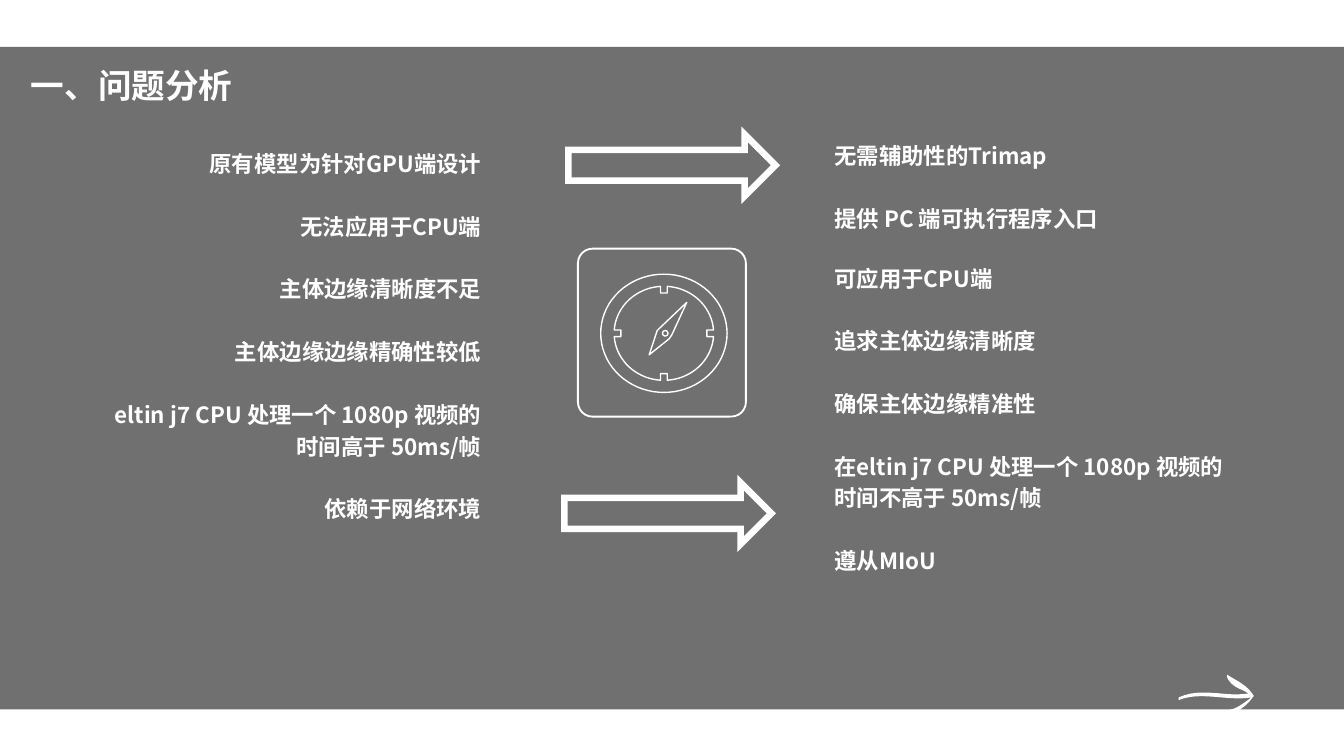
from dataclasses import dataclass
from math import asin, cos, pi, sin

from lxml.etree import SubElement
from pptx import Presentation
from pptx.dml.color import RGBColor
from pptx.enum.shapes import MSO_SHAPE
from pptx.enum.text import MSO_ANCHOR, PP_ALIGN
from pptx.oxml.ns import qn
from pptx.util import Inches, Pt


@dataclass(frozen=True)
class Theme:
    band: RGBColor = RGBColor(0x70, 0x70, 0x70)
    ink: RGBColor = RGBColor(0xFF, 0xFF, 0xFF)
    heading_font: str = "Calibri"
    body_font: str = "Noto Sans CJK SC"
    heading_size: float = 18
    body_size: float = 12
    line_pitch: float = 17
    item_gap: float = 16.6


THEME = Theme()

PROBLEMS = [
    ["原有模型为针对GPU端设计"],
    ["无法应用于CPU端"],
    ["主体边缘清晰度不足"],
    ["主体边缘边缘精确性较低"],
    ["eltin j7 CPU 处理一个 1080p 视频的", "时间高于 50ms/帧"],
    ["依赖于网络环境"],
]
GOALS = [
    ((6.11, 1, 2.17, 0.37), [["无需辅助性的Trimap"]]),
    ((6.11, 1.47, 2.75, 0.37), [["提供 PC 端可执行程序入口"]]),
    ((6.11, 1.92, 2.17, 0.37), [["可应用于CPU端"]]),
    ((6.11, 2.38, 3.45, 1.56), [
        ["追求主体边缘清晰度"],
        ["确保主体边缘精准性"],
        ["在eltin j7 CPU 处理一个 1080p 视频的", "时间不高于 50ms/帧"],
        ["遵从MIoU"],
    ]),
]

# Outline of the hand-drawn arrow: one point is a line, three are a curve.
SKETCH_START = (9.32, 5.19)
SKETCH_STEPS = [
    [(9.28, 5.25), (9.2, 5.31), (9.15, 5.3)],
    [(9.15, 5.28)],
    [(9.19, 5.28), (9.26, 5.23), (9.31, 5.19)],
    [(9.13, 5.22), (8.94, 5.14), (8.77, 5.21)],
    [(8.77, 5.19)],
    [(8.94, 5.11), (9.12, 5.19), (9.29, 5.16)],
    [(9.23, 5.12), (9.17, 5.12), (9.13, 5.04)],
    [(9.13, 5.02)],
    [(9.19, 5.06), (9.25, 5.08), (9.31, 5.15)],
    [(9.33, 5.18)],
]


def box(*lengths):
    return [Inches(length) for length in lengths]


def style_run(run, size, latin):
    run.font.size = Pt(size)
    run.font.bold = True
    run.font.name = latin
    run.font.color.rgb = THEME.ink
    east_asian = SubElement(run.font._element, qn("a:ea"))
    east_asian.set("typeface", THEME.body_font)


def outline(shape, width, mitred=False):
    shape.shadow.inherit = False
    shape.fill.background()
    shape.line.color.rgb = THEME.ink
    shape.line.width = Pt(width)
    if mitred:
        join = SubElement(shape.element.spPr.find(qn("a:ln")), qn("a:miter"))
        join.set("lim", "800000")


def add_heading(slide, text):
    heading = slide.shapes.title
    heading.left, heading.top, heading.width, heading.height = box(0.13, 0.43, 1.72, 0.4)
    frame = heading.text_frame
    frame.text = text
    frame.word_wrap = False
    frame.vertical_anchor = MSO_ANCHOR.MIDDLE
    frame.paragraphs[0].alignment = PP_ALIGN.LEFT
    style_run(frame.paragraphs[0].runs[0], THEME.heading_size, THEME.heading_font)


def add_band(slide):
    """Draw the grey backdrop behind the heading."""
    band = slide.shapes.add_shape(MSO_SHAPE.RECTANGLE, *box(0, 0.35, 10, 4.93))
    band.shadow.inherit = False
    band.fill.solid()
    band.fill.fore_color.rgb = THEME.band
    band.line.fill.background()
    slide.shapes.title.element.addprevious(band.element)


def add_items(slide, place, items, alignment=PP_ALIGN.LEFT):
    """Write each item as one or more lines, with a gap between items."""
    frame = slide.shapes.add_textbox(*box(*place)).text_frame
    frame.word_wrap = True
    frame.margin_top = Inches(0.02)
    frame.text = "\n".join(line for item in items for line in item)
    opens_item = [number == 0 for item in items for number in range(len(item))]
    for index, paragraph in enumerate(frame.paragraphs):
        paragraph.alignment = alignment
        paragraph.line_spacing = Pt(THEME.line_pitch)
        gap = THEME.item_gap if index and opens_item[index] else 0
        paragraph.space_before = Pt(gap)
        style_run(paragraph.runs[0], THEME.body_size, THEME.body_font)


def add_outline_arrow(slide, left, top):
    arrow = slide.shapes.add_shape(MSO_SHAPE.RIGHT_ARROW, *box(left, top, 1.54, 0.46))
    outline(arrow, 3.5, mitred=True)


def add_contours(shapes, *contours):
    """Build one freeform from closed contours given in inches."""
    start, *rest = [box(*point) for point in contours[0]]
    builder = shapes.build_freeform(*start)
    builder.add_line_segments(rest, close=True)
    for contour in contours[1:]:
        start, *rest = [box(*point) for point in contour]
        builder.move_to(*start)
        builder.add_line_segments(rest, close=True)
    return builder.convert_to_shape()


def ellipse(center, rx, ry, start=0, end=2 * pi, steps=72):
    angles = [start + (end - start) * i / steps for i in range(steps + 1)]
    return [(center[0] + rx * cos(a), center[1] + ry * sin(a)) for a in angles]


def notched_ellipse(center, rx, ry, notch=0.05):
    """An ellipse with a square tick pointing inwards on each axis."""
    x, y = center
    half = notch / 2
    points = []
    for quarter in range(4):
        angle = quarter * pi / 2
        dx, dy = round(cos(angle)), round(sin(angle))
        reach = (rx if dx else ry) - notch
        points += [(x + dx * reach + side * dy * half, y + dy * reach - side * dx * half)
                   for side in (1, -1)]
        leave = asin(half / (ry if dx else rx))
        arrive = asin(half / (rx if dx else ry))
        points += ellipse(center, rx, ry, angle + leave, angle + pi / 2 - arrive, 18)
    return points


def add_compass(slide):
    parts = slide.shapes.add_group_shape().shapes
    frame = parts.add_shape(MSO_SHAPE.ROUNDED_RECTANGLE, *box(4.3, 1.85, 1.25, 1.25))
    frame.adjustments[0] = 0.087
    outline(frame, 1)
    center = (4.94, 2.48)
    dial = add_contours(parts, ellipse(center, 0.47, 0.44),
                        notched_ellipse(center, 0.37, 0.35))
    pivot = (4.95, 2.48)
    needle = add_contours(
        parts,
        [(4.89, 2.46), (4.83, 2.64), (4.98, 2.52), (5, 2.49), (5.11, 2.25), (4.91, 2.44)],
        ellipse(pivot, 0.02, 0.02, steps=24))
    for part in (dial, needle):
        outline(part, 0.75)


def curve(start, first, second, end, steps=12):
    for i in range(1, steps + 1):
        t = i / steps
        weights = ((1 - t) ** 3, 3 * t * (1 - t) ** 2, 3 * t * t * (1 - t), t ** 3)
        yield tuple(sum(w * p[axis] for w, p in zip(weights, (start, first, second, end)))
                    for axis in (0, 1))


def add_sketched_arrow(slide):
    points = [SKETCH_START]
    for step in SKETCH_STEPS:
        points += step if len(step) == 1 else list(curve(points[-1], *step))
    arrow = add_contours(slide.shapes, points)
    arrow.shadow.inherit = False
    arrow.fill.solid()
    arrow.fill.fore_color.rgb = THEME.ink
    arrow.line.fill.background()


def main():
    deck = Presentation()
    deck.slide_width = Inches(10)
    deck.slide_height = deck.slide_width * 9 // 16
    slide = deck.slides.add_slide(deck.slide_layouts[5])
    add_heading(slide, "一、问题分析")
    add_band(slide)
    add_sketched_arrow(slide)
    add_compass(slide)
    add_items(slide, (0.45, 1.06, 3.23, 3.16), PROBLEMS, PP_ALIGN.RIGHT)
    for place, items in GOALS:
        add_items(slide, place, items)
    for left, top in ((4.23, 1), (4.2, 3.59)):
        add_outline_arrow(slide, left, top)
    deck.save("out.pptx")


if __name__ == "__main__":
    main()
